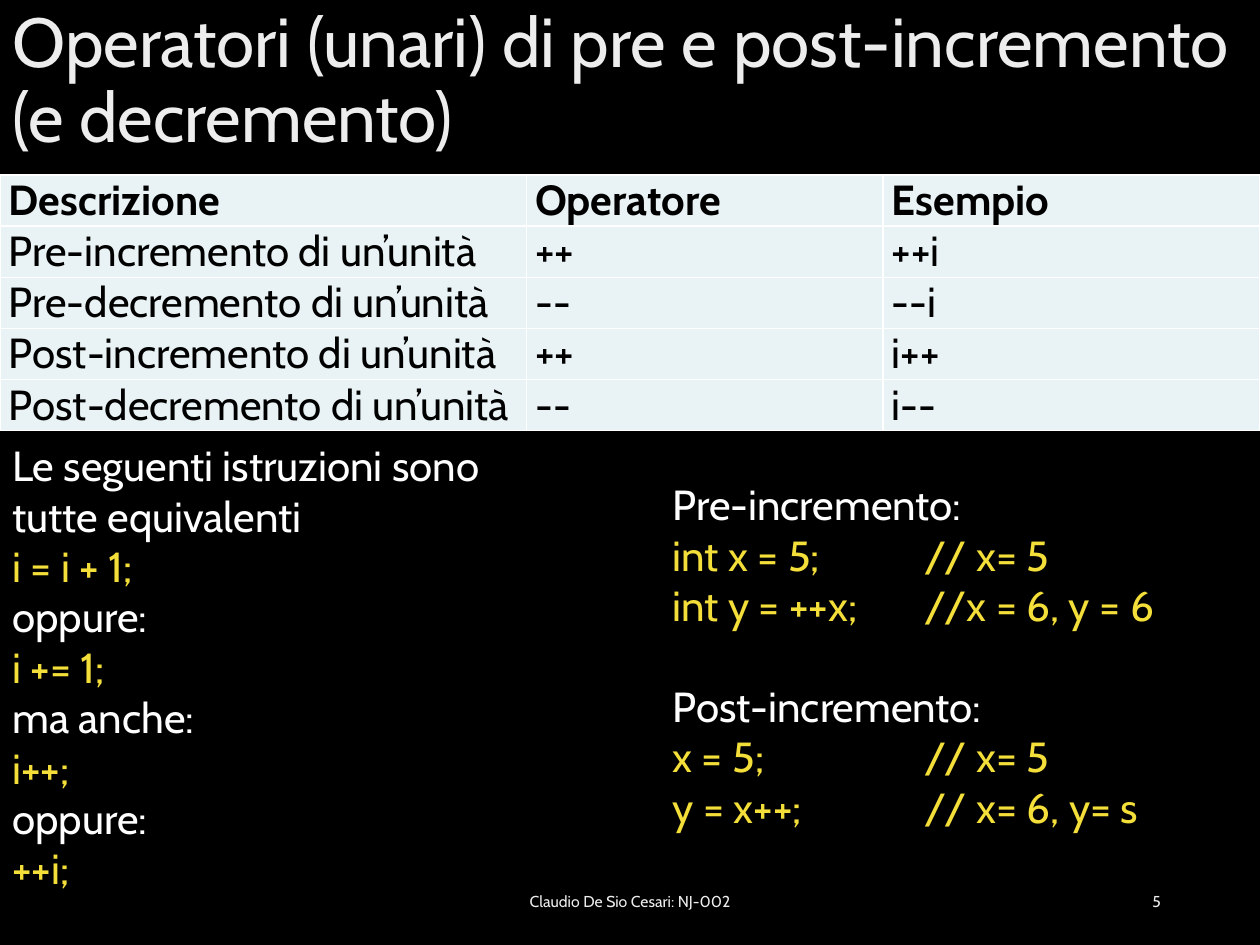
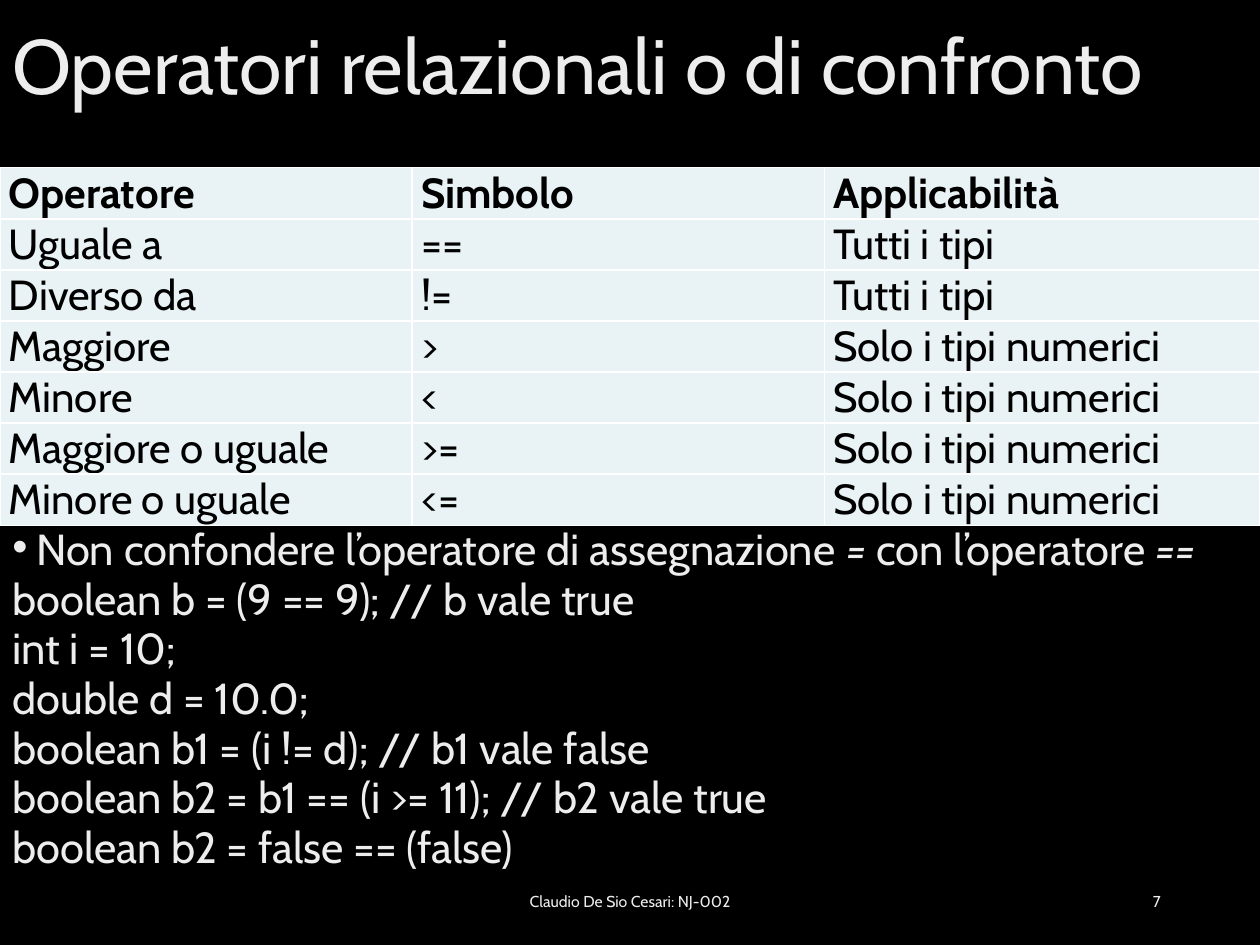
from dataclasses import dataclass
from typing import Optional

from lxml.etree import SubElement
from pptx import Presentation
from pptx.dml.color import RGBColor as Rgb
from pptx.enum.text import MSO_ANCHOR as Anchor, PP_ALIGN as Align
from pptx.oxml.ns import qn
from pptx.slide import Slide
from pptx.util import Cm, Pt


@dataclass(frozen=True)
class Theme:
    font: str = "Cabin"
    background: Rgb = Rgb(0x00, 0x00, 0x00)
    soft_white: Rgb = Rgb(0xED, 0xED, 0xED)
    white: Rgb = Rgb(0xFF, 0xFF, 0xFF)
    code: Rgb = Rgb(0xF4, 0xDE, 0x3A)
    cell_fill: Rgb = Rgb(0xE9, 0xF2, 0xF4)
    cell_text: Rgb = Rgb(0x00, 0x00, 0x00)
    title_size: float = 44
    long_title_size: float = 39.6
    bullet_size: float = 24.8
    text_size: float = 24
    footer_size: float = 9


THEME = Theme()
SLIDE_WIDTH, SLIDE_HEIGHT = 25.4, 19.05
ROW_HEIGHT = 1.03
CODE_TAB = 5.08
FOOTER_TEXT = "Claudio De Sio Cesari: NJ-002"


@dataclass(frozen=True)
class Box:
    left: float
    top: float
    width: float
    height: float


@dataclass(frozen=True)
class Style:
    size: float
    color: Rgb
    align: Align = Align.LEFT
    bold: bool = False
    line_spacing: Optional[float] = None
    space_before: float = 0
    bullet_indent: float = 0
    tab_stop: float = 0


@dataclass(frozen=True)
class Span:
    text: str
    italic: bool = False


@dataclass(frozen=True)
class Line:
    spans: tuple[Span, ...]
    style: Style


@dataclass(frozen=True)
class TableSpec:
    top: float
    column_widths: tuple[float, ...]
    rows: tuple[tuple[str, ...], ...]


FOOTER_BOX = Box(8.41, 17.65, 8.58, 1.02)
NUMBER_BOX = Box(17.93, 17.65, 5.72, 1.02)

PROSE = Style(THEME.text_size, THEME.white)
CODE = Style(THEME.text_size, THEME.code, tab_stop=CODE_TAB)
NEW_SECTION = Style(THEME.text_size, THEME.white, space_before=28.8)
BODY = Style(THEME.bullet_size, THEME.soft_white, line_spacing=0.7, space_before=7.5)
BULLET = Style(THEME.bullet_size, THEME.soft_white, line_spacing=0.7,
               space_before=7.5, bullet_indent=0.48)

INCREMENT_TABLE = TableSpec(3.53, (10.61, 7.19, 7.6), (
    ("Descrizione", "Operatore", "Esempio"),
    ("Pre-incremento di un’unità", "++", "++i"),
    ("Pre-decremento di un’unità", "--", "--i"),
    ("Post-incremento di un’unità", "++", "i++"),
    ("Post-decremento di un’unità", "--", "i--"),
))
NUMERIC_ONLY = "Solo i tipi numerici"
COMPARISON_TABLE = TableSpec(3.38, (8.31, 8.31, 8.78), (
    ("Operatore", "Simbolo", "Applicabilità"),
    ("Uguale a", "==", "Tutti i tipi"),
    ("Diverso da", "!=", "Tutti i tipi"),
    ("Maggiore", ">", NUMERIC_ONLY),
    ("Minore", "<", NUMERIC_ONLY),
    ("Maggiore o uguale", ">=", NUMERIC_ONLY),
    ("Minore o uguale", "<=", NUMERIC_ONLY),
))


def line(text: str, style: Style) -> Line:
    return Line((Span(text),), style)


EQUIVALENT_STATEMENTS = [
    line("Le seguenti istruzioni sono tutte equivalenti", PROSE),
    line("i = i + 1;", CODE),
    line("oppure:", PROSE),
    line("i += 1;", CODE),
    line("ma anche:", PROSE),
    line("i++;", CODE),
    line("oppure:", PROSE),
    line("++i;", CODE),
]
INCREMENT_EXAMPLES = [
    line("Pre-incremento:", PROSE),
    line("int x = 5;\t// x= 5", CODE),
    line("int y = ++x;\t//x = 6, y = 6", CODE),
    line("Post-incremento:", NEW_SECTION),
    line("x = 5;\t// x= 5", CODE),
    line("y = x++;\t// x= 6, y= s", CODE),
]
ASSIGNMENT_WARNING = Line((
    Span("Non confondere l’operatore di assegnazione "),
    Span("=", italic=True),
    Span(" con l’operatore "),
    Span("==", italic=True),
), BULLET)
COMPARISON_EXAMPLES = [
    line(text, BODY) for text in (
        "boolean b = (9 == 9); // b vale true",
        "int i = 10;",
        "double d = 10.0;",
        "boolean b1 = (i != d); // b1 vale false",
        "boolean b2 = b1 == (i >= 11); // b2 vale true",
        "boolean b2 = false == (false)",
    )
]


def format_paragraph(paragraph, style: Style) -> None:
    properties = paragraph._p.get_or_add_pPr()
    if style.bullet_indent:
        indent = Cm(style.bullet_indent)
        properties.set("marL", str(indent))
        properties.set("indent", str(-indent))
        SubElement(properties, qn("a:buFont"), typeface="Arial")
        SubElement(properties, qn("a:buChar"), char="•")
    if style.tab_stop:
        tabs = SubElement(properties, qn("a:tabLst"))
        SubElement(tabs, qn("a:tab"), pos=str(Cm(style.tab_stop)), algn="l")
    paragraph.alignment = style.align
    paragraph.space_before = Pt(style.space_before)
    if style.line_spacing:
        paragraph.line_spacing = style.line_spacing
    font = paragraph.font
    font.name = THEME.font
    font.size = Pt(style.size)
    font.bold = style.bold
    font.color.rgb = style.color


def add_text(slide: Slide, box: Box, lines: list[Line], anchor: Anchor = Anchor.TOP) -> None:
    shape = slide.shapes.add_textbox(Cm(box.left), Cm(box.top), Cm(box.width), Cm(box.height))
    frame = shape.text_frame
    frame.word_wrap = True
    frame.vertical_anchor = anchor
    for index, item in enumerate(lines):
        paragraph = frame.add_paragraph() if index else frame.paragraphs[0]
        for span in item.spans:
            run = paragraph.add_run()
            run.text = span.text
            if span.italic:
                run.font.italic = True
        format_paragraph(paragraph, item.style)


def add_borders(cell) -> None:
    properties = cell._tc.get_or_add_tcPr()
    for side in ("lnL", "lnR", "lnT", "lnB"):
        border = SubElement(properties, qn(f"a:{side}"), w=str(Pt(1)))
        fill = SubElement(border, qn("a:solidFill"))
        SubElement(fill, qn("a:srgbClr"), val=str(THEME.white))


def add_table(slide: Slide, spec: TableSpec) -> None:
    row_count, column_count = len(spec.rows), len(spec.column_widths)
    table = slide.shapes.add_table(
        row_count, column_count, Cm(0), Cm(spec.top),
        Cm(SLIDE_WIDTH), Cm(ROW_HEIGHT * row_count)).table
    table.first_row = table.horz_banding = False
    for column, width in zip(table.columns, spec.column_widths):
        column.width = Cm(width)
    for row_index, texts in enumerate(spec.rows):
        table.rows[row_index].height = Cm(ROW_HEIGHT)
        style = Style(THEME.text_size, THEME.cell_text, bold=row_index == 0)
        for column_index, text in enumerate(texts):
            cell = table.cell(row_index, column_index)
            cell.margin_left = cell.margin_right = Cm(0.18)
            cell.margin_top = cell.margin_bottom = Cm(0)
            add_borders(cell)
            cell.fill.solid()
            cell.fill.fore_color.rgb = THEME.cell_fill
            cell.text = text
            format_paragraph(cell.text_frame.paragraphs[0], style)


def add_base_slide(presentation, title: str, title_size: float,
                   title_height: float, number: int) -> Slide:
    slide = presentation.slides.add_slide(presentation.slide_layouts[6])
    slide.background.fill.solid()
    slide.background.fill.fore_color.rgb = THEME.background
    title_style = Style(title_size, THEME.soft_white, line_spacing=0.9)
    add_text(slide, Box(0, 0, SLIDE_WIDTH, title_height),
             [line(title, title_style)], Anchor.MIDDLE)
    for box, text, align in ((FOOTER_BOX, FOOTER_TEXT, Align.CENTER),
                             (NUMBER_BOX, str(number), Align.RIGHT)):
        footer_style = Style(THEME.footer_size, THEME.soft_white, align)
        add_text(slide, box, [line(text, footer_style)], Anchor.MIDDLE)
    return slide


def add_increment_slide(presentation) -> None:
    slide = add_base_slide(
        presentation, "Operatori (unari) di pre e post-incremento (e decremento)",
        THEME.long_title_size, 3.33, 5)
    add_table(slide, INCREMENT_TABLE)
    add_text(slide, Box(0, 8.74, 11.3, 9.5), EQUIVALENT_STATEMENTS)
    add_text(slide, Box(13.31, 9.53, 11.71, 8.46), INCREMENT_EXAMPLES)


def add_comparison_slide(presentation) -> None:
    slide = add_base_slide(
        presentation, "Operatori relazionali o di confronto", THEME.title_size, 2.82, 7)
    add_text(slide, Box(0, 10.69, SLIDE_WIDTH, 7.44),
             [ASSIGNMENT_WARNING, *COMPARISON_EXAMPLES])
    add_table(slide, COMPARISON_TABLE)


def main() -> None:
    presentation = Presentation()
    presentation.slide_width = Cm(SLIDE_WIDTH)
    presentation.slide_height = Cm(SLIDE_HEIGHT)
    add_increment_slide(presentation)
    add_comparison_slide(presentation)
    presentation.save("out.pptx")


if __name__ == "__main__":
    main()
